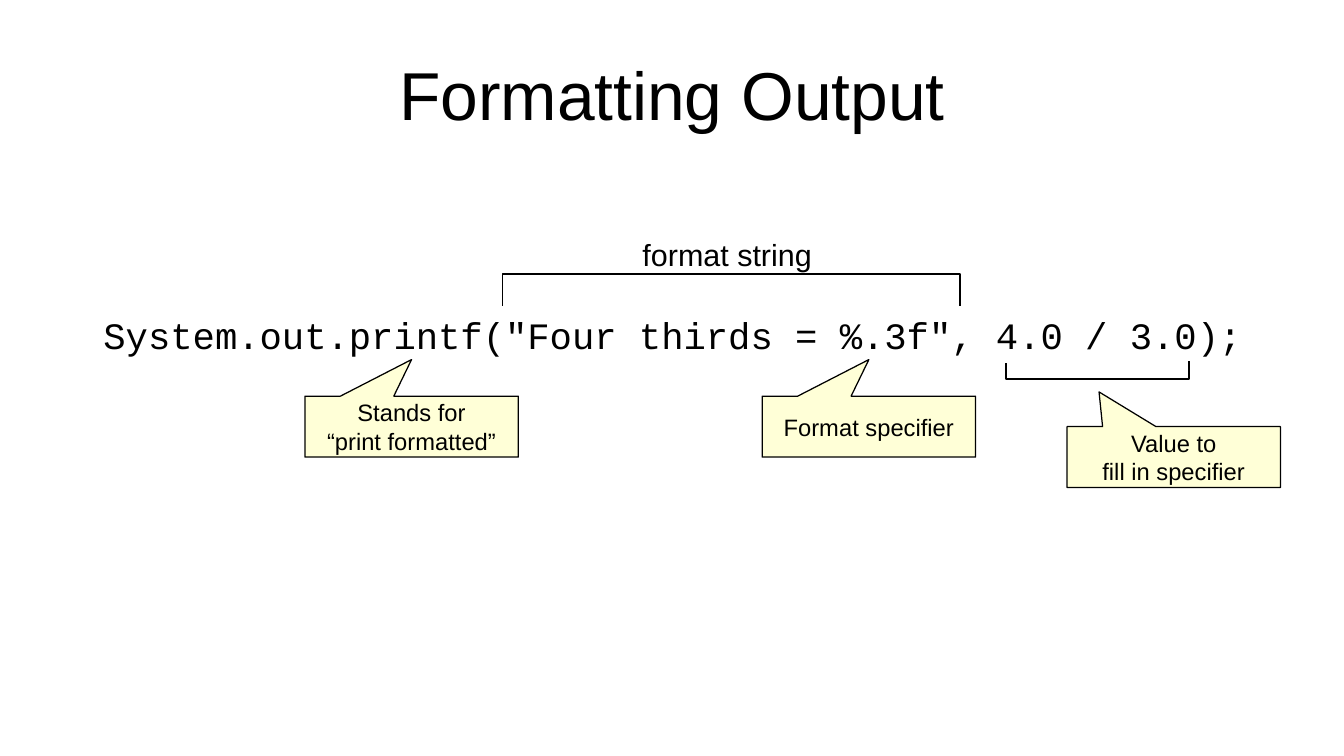
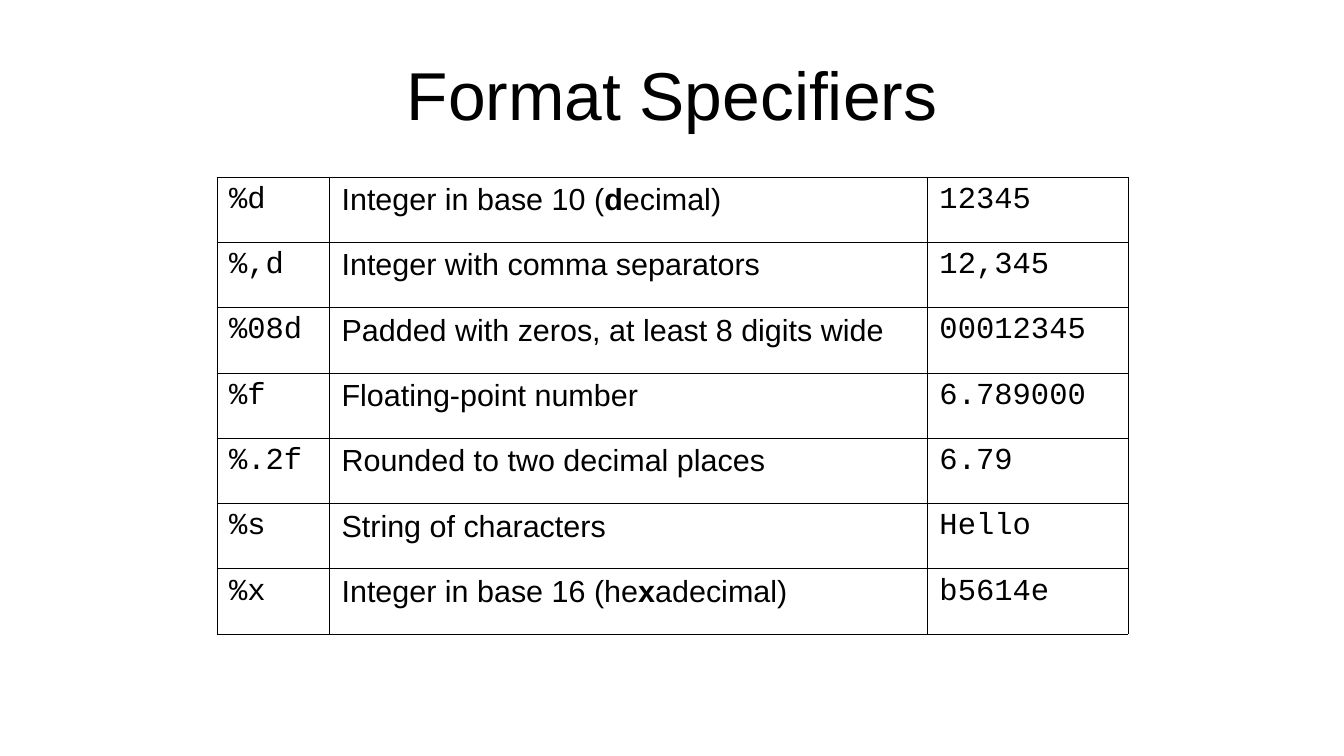
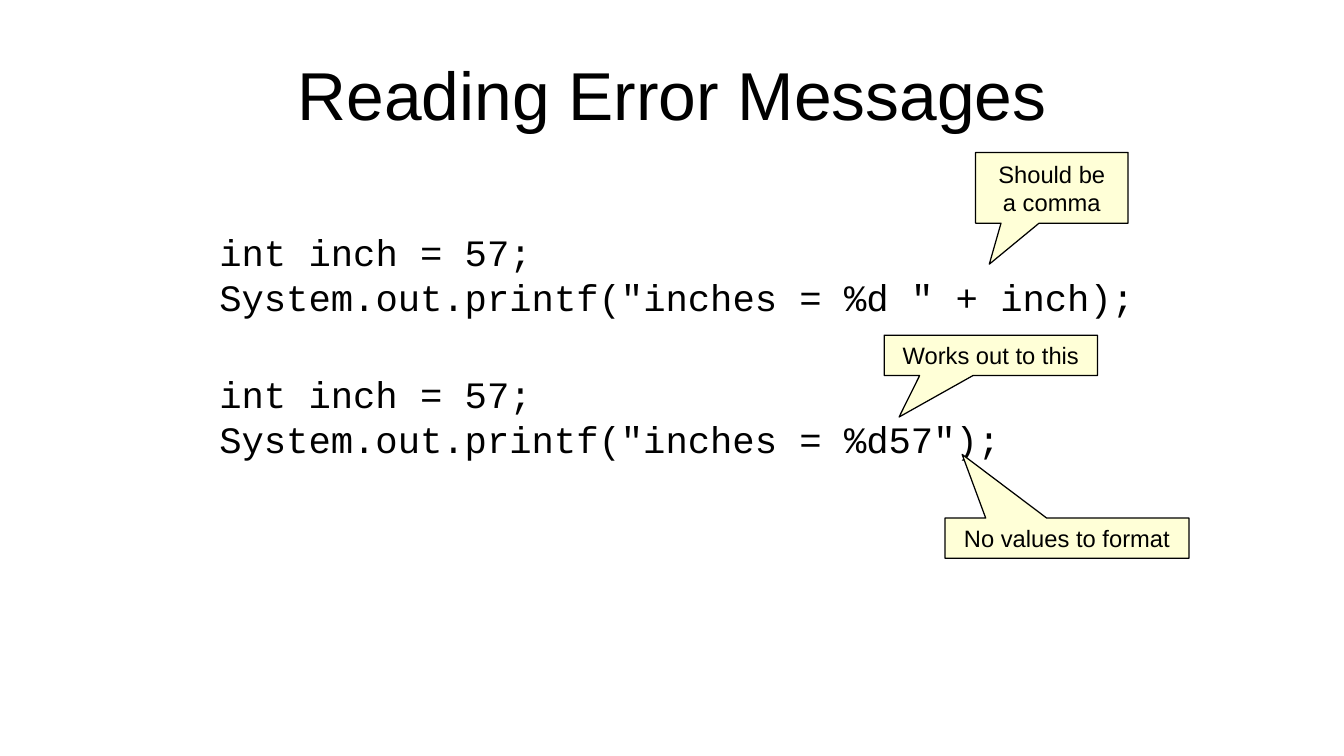
"""Build three slides about formatted output."""
from dataclasses import dataclass

from lxml.etree import SubElement
from pptx import Presentation
from pptx.dml.color import RGBColor
from pptx.enum.shapes import MSO_AUTO_SHAPE_TYPE as ShapeType
from pptx.enum.text import MSO_VERTICAL_ANCHOR as Anchor, PP_PARAGRAPH_ALIGNMENT as Align
from pptx.oxml.ns import qn
from pptx.util import Pt


@dataclass(frozen=True)
class Theme:
    """Hold the colours, fonts and sizes that the slides share."""
    ink: RGBColor = RGBColor.from_string("000000")
    paper: RGBColor = RGBColor.from_string("FFFFFF")
    note: RGBColor = RGBColor.from_string("FFFFD7")
    sans: str = "Arial"
    mono: str = "Courier New"
    title_size: float = 40
    code_size: float = 22
    body_size: float = 18
    note_size: float = 14
    bracket_width: float = 1
    hairline: float = 0
    grid_width: float = 0.06


@dataclass(frozen=True)
class Box:
    """Describe a rectangle in points."""
    left: float
    top: float
    width: float
    height: float

    def inner(self, left, top, width, height):
        """Return a box placed relative to this one."""
        return Box(self.left + left, self.top + top, width, height)

    def lengths(self):
        """Return the four lengths in the order that shapes take them."""
        return Pt(self.left), Pt(self.top), Pt(self.width), Pt(self.height)


THEME = Theme()
PAGE = Box(0, 0, 793.5, 446.5)
TITLE = PAGE.inner(39.6, 18, 714.25, 74.9)
DIAGRAM = PAGE.inner(54, 136, 702, 152)
SPECIFIERS = PAGE.inner(128, 104.5, 538, 270)
ERRORS = PAGE.inner(122.4, 90, 580, 240)
COLUMN_WIDTHS = (66.5, 353, 118.5)
SPECIFIER_ROWS = (
    ("%d", "Integer in base 10 (*d*ecimal)", "12345"),
    ("%,d", "Integer with comma separators", "12,345"),
    ("%08d", "Padded with zeros, at least 8 digits wide", "00012345"),
    ("%f", "Floating-point number", "6.789000"),
    ("%.2f", "Rounded to two decimal places", "6.79"),
    ("%s", "String of characters", "Hello"),
    ("%x", "Integer in base 16 (he*x*adecimal)", "b5614e"),
)


def format_runs(paragraph, font_name, size):
    """Give every run of a paragraph its font, size and colour."""
    for run in paragraph.runs:
        run.font.name = font_name
        run.font.size = Pt(size)
        run.font.color.rgb = THEME.ink


def write_text(text_frame, text, font_name, size, align=Align.LEFT):
    """Fill a text frame with evenly formatted paragraphs."""
    text_frame.text = text
    for paragraph in text_frame.paragraphs:
        paragraph.alignment = align
        format_runs(paragraph, font_name, size)


def add_title(slide, text):
    """Add the centred slide title."""
    text_frame = slide.shapes.add_textbox(*TITLE.lengths()).text_frame
    text_frame.word_wrap = True
    text_frame.vertical_anchor = Anchor.MIDDLE
    text_frame.margin_left = text_frame.margin_right = Pt(0)
    text_frame.margin_top = text_frame.margin_bottom = Pt(0)
    write_text(text_frame, text, THEME.sans, THEME.title_size, Align.CENTER)


def add_label(slide, box, text, font_name, size):
    """Add unwrapped, left-aligned text."""
    text_frame = slide.shapes.add_textbox(*box.lengths()).text_frame
    text_frame.word_wrap = False
    write_text(text_frame, text, font_name, size)


def add_code(slide, box, text):
    """Add lines of code."""
    add_label(slide, box, text, THEME.mono, THEME.code_size)


def add_callout(slide, box, text, pointer):
    """Add a note whose pointer is given as shares of its size from its centre."""
    shape = slide.shapes.add_shape(ShapeType.RECTANGULAR_CALLOUT, *box.lengths())
    shape.shadow.inherit = False
    shape.adjustments[0], shape.adjustments[1] = pointer
    shape.fill.solid()
    shape.fill.fore_color.rgb = THEME.note
    shape.line.color.rgb = THEME.ink
    shape.line.width = Pt(THEME.hairline)
    shape.text_frame.word_wrap = False
    shape.text_frame.vertical_anchor = Anchor.MIDDLE
    write_text(shape.text_frame, text, THEME.sans, THEME.note_size, Align.CENTER)


def add_bracket(slide, box, points):
    """Draw an open outline through points relative to a box."""
    start, *others = [(Pt(box.left + x), Pt(box.top + y)) for x, y in points]
    builder = slide.shapes.build_freeform(*start)
    builder.add_line_segments(others, close=False)
    shape = builder.convert_to_shape()
    shape.shadow.inherit = False
    shape.fill.background()
    shape.line.color.rgb = THEME.ink
    shape.line.width = Pt(THEME.bracket_width)


def add_printf_diagram(slide, box):
    """Add the printf call with its brackets and notes."""
    add_code(slide, box.inner(0, 44.7, 687.6, 31.7),
             'System.out.printf("Four thirds = %.3f", 4.0 / 3.0);')
    add_bracket(slide, box, ((242.6, 44.7), (242.6, 26), (512.6, 26), (512.6, 44.7)))
    add_label(slide, box.inner(318.25, 0, 114.5, 27.4), "format string",
              THEME.sans, THEME.body_size)
    add_bracket(slide, box, ((540, 78.6), (540, 87.9), (648, 87.9), (648, 77.1)))
    for left, top, text, pointer in (
        (126, 98, "Stands for\n“print formatted”", (0, -1.1)),
        (396, 98, "Format specifier", (0, -1.1)),
        (576, 116, "Value to\vfill in specifier", (-0.35, -1.07)),
    ):
        add_callout(slide, box.inner(left, top, 126, 36), text, pointer)


def add_cell_borders(cell):
    """Draw a thin line on each side of a table cell."""
    properties = cell._tc.get_or_add_tcPr()
    for position, side in enumerate(("a:lnL", "a:lnR", "a:lnT", "a:lnB")):
        line = SubElement(properties, qn(side), w=str(Pt(THEME.grid_width)))
        fill = SubElement(line, qn("a:solidFill"))
        SubElement(fill, qn("a:srgbClr"), val=str(THEME.ink))
        properties.insert(position, line)


def fill_cell(cell, text, font_name):
    """Write a cell, with the parts between asterisks in bold."""
    cell.fill.solid()
    cell.fill.fore_color.rgb = THEME.paper
    add_cell_borders(cell)
    paragraph = cell.text_frame.paragraphs[0]
    for index, part in enumerate(text.split("*")):
        run = paragraph.add_run()
        run.text = part
        run.font.bold = index % 2 == 1
    format_runs(paragraph, font_name, THEME.body_size)


def add_specifier_table(slide, box):
    """Add the table of format specifiers."""
    table = slide.shapes.add_table(
        len(SPECIFIER_ROWS), len(COLUMN_WIDTHS), *box.lengths()).table
    table.first_row = table.horz_banding = False
    for column, width in zip(table.columns, COLUMN_WIDTHS):
        column.width = Pt(width)
    fonts = (THEME.mono, THEME.sans, THEME.mono)
    for row, texts in zip(table.rows, SPECIFIER_ROWS):
        row.height = Pt(box.height / len(SPECIFIER_ROWS))
        for cell, text, font_name in zip(row.cells, texts, fonts):
            fill_cell(cell, text, font_name)


def add_error_examples(slide, box):
    """Add the two code samples and their notes."""
    for top, width, statement in (
        (41.8, 555, 'System.out.printf("inches = %d " + inch);'),
        (126, 476, 'System.out.printf("inches = %d57");'),
    ):
        add_code(slide, box.inner(0, top, width, 56.9), f"int inch = 57;\n{statement}")
    for place, text, pointer in (
        ((453.6, 0, 90, 41.8), "Should be\na comma", (-0.41, 1.08)),
        ((399.6, 108, 126, 23.8), "Works out to this", (-0.43, 1.53)),
        ((435.6, 216, 144, 23.8), "No values to format", (-0.43, -2.08)),
    ):
        add_callout(slide, box.inner(*place), text, pointer)


def main():
    """Build and save the presentation."""
    presentation = Presentation()
    presentation.slide_width = Pt(PAGE.width)
    presentation.slide_height = Pt(PAGE.height)
    blank = presentation.slide_layouts[6]
    for title, add_content, box in (
        ("Formatting Output", add_printf_diagram, DIAGRAM),
        ("Format Specifiers", add_specifier_table, SPECIFIERS),
        ("Reading Error Messages", add_error_examples, ERRORS),
    ):
        slide = presentation.slides.add_slide(blank)
        add_title(slide, title)
        add_content(slide, box)
    presentation.save("out.pptx")


if __name__ == "__main__":
    main()
